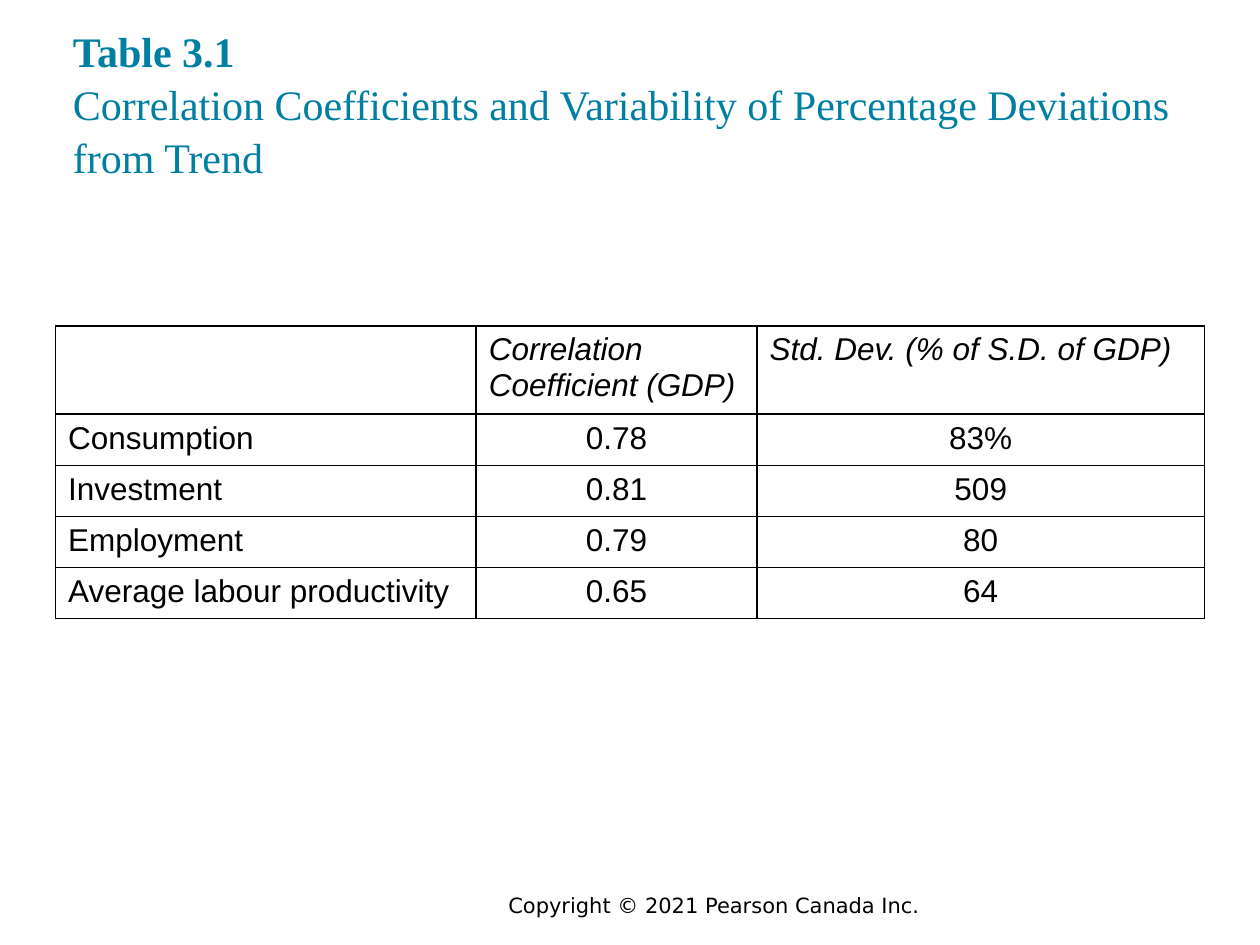
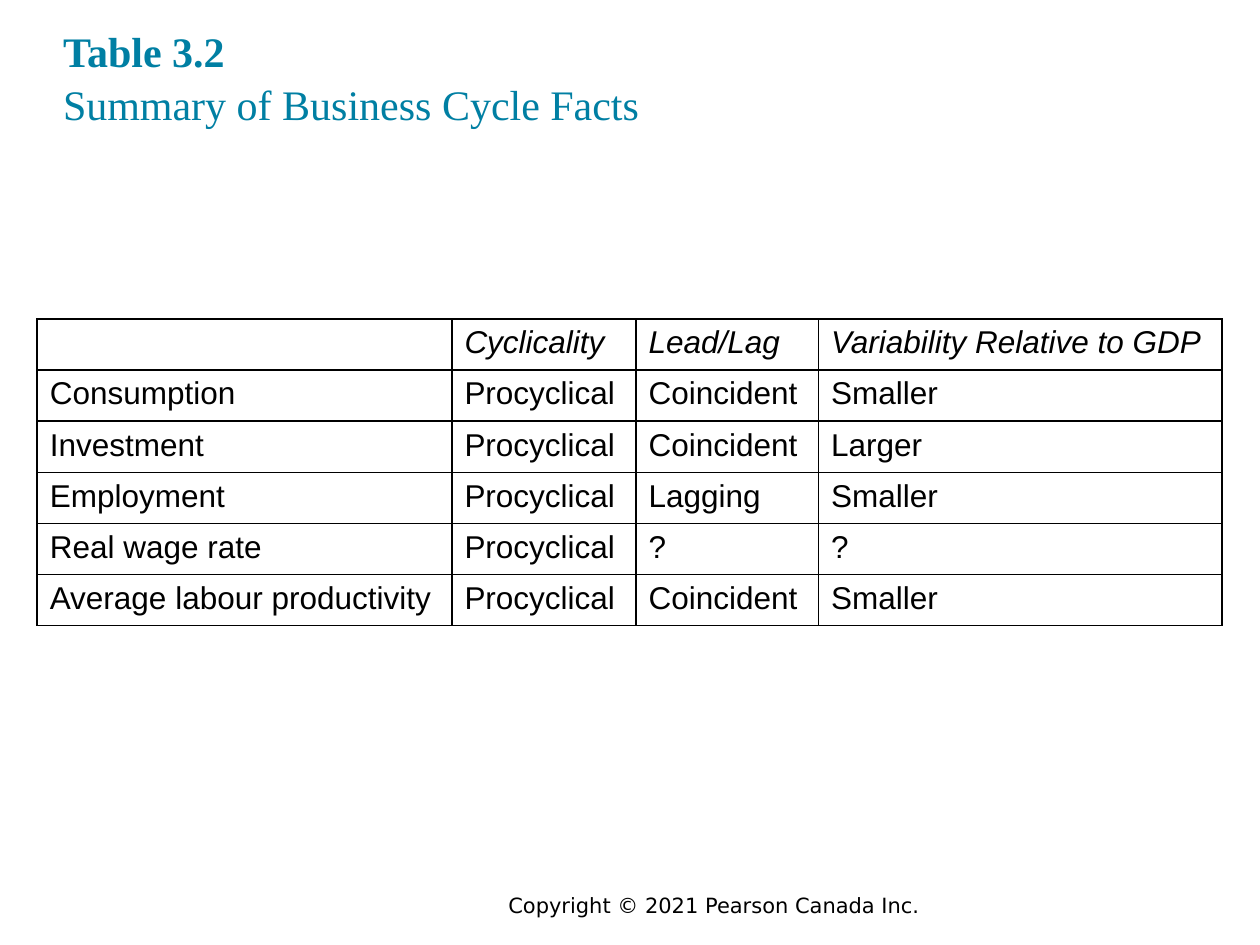
from copy import deepcopy
from dataclasses import dataclass

from lxml import etree
from pptx import Presentation
from pptx.dml.color import RGBColor
from pptx.enum import text
from pptx.oxml import ns
from pptx.util import Cm, Pt


@dataclass(frozen=True)
class Theme:
    teal: RGBColor = RGBColor(0x00, 0x7F, 0xA3)
    black: RGBColor = RGBColor(0, 0, 0)
    title_font: str = "Times New Roman"
    table_font: str = "Arial"
    footer_font: str = "DejaVu Sans"
    title_size: int = 24
    table_size: int = 18
    footer_size: int = 12
    border: int = 1


theme = Theme()
ROW_HEIGHT = 1.03
COPYRIGHT = "Copyright © 2021 Pearson Canada Inc."

# Content; lengths in centimetres
slides = [
    dict(
        number="Table 3.1",
        caption="Correlation Coefficients and Variability of Percentage Deviations from Trend",
        title_box=(1.47, 0.43, 22.66, 3.23),
        table_at=(1.12, 6.57),
        widths=(8.48, 5.66, 9.02),
        header_height=1.68,
        values_align=text.PP_ALIGN.CENTER,
        rows=[
            ("", "Correlation\nCoefficient (GDP)", "Std. Dev. (% of S.D. of GDP)"),
            ("Consumption", "0.78", "83%"),
            ("Investment", "0.81", "509"),
            ("Employment", "0.79", "80"),
            ("Average labour productivity", "0.65", "64"),
        ],
    ),
    dict(
        number="Table 3.2",
        caption="Summary of Business Cycle Facts",
        title_box=(1.27, 0.43, 22.86, 2.16),
        table_at=(0.75, 6.43),
        widths=(8.36, 3.71, 3.68, 8.13),
        header_height=ROW_HEIGHT,
        values_align=text.PP_ALIGN.LEFT,
        rows=[
            ("", "Cyclicality", "Lead/Lag", "Variability Relative to GDP"),
            ("Consumption", "Procyclical", "Coincident", "Smaller"),
            ("Investment", "Procyclical", "Coincident", "Larger"),
            ("Employment", "Procyclical", "Lagging", "Smaller"),
            ("Real wage rate", "Procyclical", "?", "?"),
            ("Average labour productivity", "Procyclical", "Coincident", "Smaller"),
        ],
    ),
]


def style(r, font, size, color, bold=False, italic=False):
    r.font.name, r.font.size = font, Pt(size)
    r.font.bold, r.font.italic = bold, italic
    r.font.color.rgb = color


def add_borders(cell):
    tc_pr = cell._tc.get_or_add_tcPr()
    for i, side in enumerate(("lnL", "lnR", "lnT", "lnB")):
        ln = etree.Element(ns.qn(f"a:{side}"), w=str(Pt(theme.border)))
        fill = etree.SubElement(ln, ns.qn("a:solidFill"))
        etree.SubElement(fill, ns.qn("a:srgbClr"), val=str(theme.black))
        tc_pr.insert(i, ln)


prs = Presentation()
prs.slide_width, prs.slide_height = Cm(25.4), Cm(19.05)

for content in slides:
    s = prs.slides.add_slide(prs.slide_layouts[5])

    # Footer
    sp = s.shapes.add_textbox(Cm(4.45), Cm(17.86), Cm(19.89), Cm(0.77))
    tf = sp.text_frame
    tf.word_wrap = True
    tf.text = COPYRIGHT
    p = tf.paragraphs[0]
    p.alignment = text.PP_ALIGN.CENTER
    style(p.runs[0], theme.footer_font, theme.footer_size, theme.black)

    # Title: bold table number, then the caption on a new line
    title = s.shapes.title
    title.left, title.top, title.width, title.height = map(Cm, content["title_box"])
    tf = title.text_frame
    tf.margin_left = tf.margin_top = tf.margin_right = tf.margin_bottom = 0
    tf.vertical_anchor = text.MSO_ANCHOR.BOTTOM
    tf.auto_size = text.MSO_AUTO_SIZE.NONE
    tf.word_wrap = True
    tf.text = content["number"] + "\v" + content["caption"]
    p = tf.paragraphs[0]
    p.alignment = text.PP_ALIGN.LEFT
    p.line_spacing = 1.05
    for r, bold in zip(p.runs, (True, False)):
        style(r, theme.title_font, theme.title_size, theme.teal, bold=bold)
    line_break = p._p.find(ns.qn("a:br"))
    line_break.append(deepcopy(p.runs[0]._r.rPr))

    # Table
    rows, widths = content["rows"], content["widths"]
    heights = [content["header_height"]] + [ROW_HEIGHT] * (len(rows) - 1)
    left, top = content["table_at"]
    table = s.shapes.add_table(len(rows), len(widths), Cm(left), Cm(top),
                               Cm(sum(widths)), Cm(sum(heights))).table
    table.first_row = table.horz_banding = False
    for column, width in zip(table.columns, widths):
        column.width = Cm(width)
    for row, height in zip(table.rows, heights):
        row.height = Cm(height)

    for i, row in enumerate(rows):
        for j, value in enumerate(row):
            cell = table.cell(i, j)
            cell.fill.background()
            add_borders(cell)
            cell.text_frame.text = value
            for p in cell.text_frame.paragraphs:
                p.alignment = content["values_align"] if i and j else text.PP_ALIGN.LEFT
                for r in p.runs:
                    style(r, theme.table_font, theme.table_size, theme.black, italic=i == 0)

prs.save("out.pptx")
